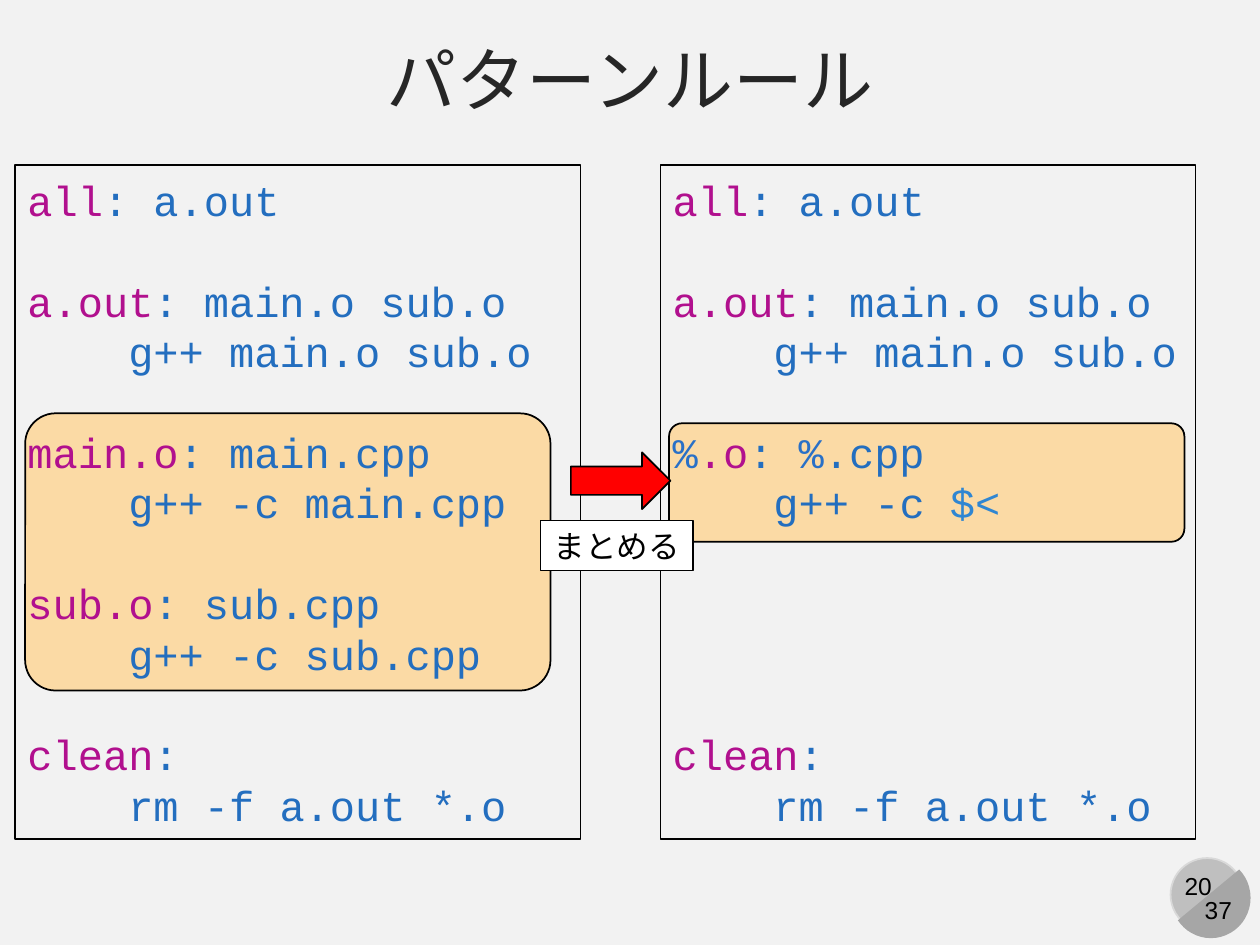
"""Build the slide that folds two make rules into one pattern rule."""
from pptx import Presentation
from pptx.dml import color
from pptx.enum import shapes, text
from pptx.util import Pt

TARGET, CODE, PERCENT, MACRO = "B1108E", "236EBF", "2970C7", "2F86D2"
BLACK, ORANGE = "000000", "FBDAA5"
LINE_HEIGHT = 28.8
SHAPE = shapes.MSO_SHAPE

TITLE = "パターンルール"
HEAD = [
    (0, [("all", TARGET), (": a.out", CODE)]),
    (1, [("a.out", TARGET), (": main.o sub.o", CODE)]),
    (0, [("    g++ main.o sub.o", CODE)]),
]
CLEAN = [("clean", TARGET), (":", CODE)]
REMOVE = (0, [("    rm -f a.out *.o", CODE)])
SEPARATE_RULES = HEAD + [
    (1, [("main.o", TARGET), (": main.cpp", CODE)]),
    (0, [("    g++ -c main.cpp", CODE)]),
    (1, [("sub.o", TARGET), (": sub.cpp", CODE)]),
    (0, [("    g++ -c sub.cpp", CODE)]),
    (1, CLEAN),
    REMOVE,
]
PATTERN_RULE = HEAD + [
    (1, [("%", PERCENT), (".o", TARGET), (": ", CODE), ("%", PERCENT), (".cpp", CODE)]),
    (0, [("    g++ -c ", CODE), ("$<", MACRO)]),
    (4, CLEAN),
    REMOVE,
]
HIGHLIGHTS = [(382.3, 241.9, 294.5, 67.7), (14.4, 236.2, 300.2, 158.4)]
PANELS = [(8.6, 323.3, SEPARATE_RULES), (377.3, 306, PATTERN_RULE)]
PAGE_NUMBERS = [("20", (668.9, 493.9, 31.7, 24.5)), ("37", (676.8, 507.6, 38.9, 24.5))]


def rgb(value):
    return color.RGBColor.from_string(value)


def add_shape(slide, kind, box, fill=None, line=None, width=1):
    shape = slide.shapes.add_shape(kind, *map(Pt, box))
    shape.shadow.inherit = False
    if fill:
        shape.fill.solid()
        shape.fill.fore_color.rgb = rgb(fill)
    else:
        shape.fill.background()
    if line:
        shape.line.color.rgb = rgb(line)
        shape.line.width = Pt(width)
    else:
        shape.line.fill.background()
    return shape


def format_run(run, size, hex_color, name="Arial"):
    run.font.size = Pt(size)
    run.font.name = name
    run.font.color.rgb = rgb(hex_color)


def write_label(shape, words, size, hex_color=BLACK, wrap=False):
    frame = shape.text_frame
    frame.text = words
    frame.word_wrap = wrap
    frame.vertical_anchor = text.MSO_ANCHOR.MIDDLE
    paragraph = frame.paragraphs[0]
    paragraph.alignment = text.PP_ALIGN.CENTER
    format_run(paragraph.runs[0], size, hex_color)


def write_code(shape, lines):
    frame = shape.text_frame
    frame.word_wrap = True
    frame.vertical_anchor = text.MSO_ANCHOR.MIDDLE
    for index, (gap, pieces) in enumerate(lines):
        paragraph = frame.add_paragraph() if index else frame.paragraphs[0]
        paragraph.alignment = text.PP_ALIGN.LEFT
        paragraph.line_spacing = Pt(LINE_HEIGHT)
        paragraph.space_before = Pt(gap * LINE_HEIGHT)
        for words, hex_color in pieces:
            run = paragraph.add_run()
            run.text = words
            format_run(run, 24, hex_color, "Courier New")


def main():
    presentation = Presentation()
    presentation.slide_width, presentation.slide_height = Pt(720), Pt(540)
    slide = presentation.slides.add_slide(presentation.slide_layouts[5])
    slide.background.fill.solid()
    slide.background.fill.fore_color.rgb = rgb("F2F2F2")

    title = slide.shapes.title
    title.left, title.top, title.width, title.height = map(Pt, (0, 15.1, 720, 59))
    write_label(title, TITLE, 40, "262626", wrap=True)

    add_shape(slide, SHAPE.OVAL, (668.9, 490.3, 41.8, 41.8), "BFBFBF", "D9D9D9")
    chord = add_shape(slide, SHAPE.CHORD, (668.9, 490.3, 46.1, 45.4), "A6A6A6")
    chord.rotation = 270
    chord.adjustments[0], chord.adjustments[1] = 27, 141.42
    for number, box in PAGE_NUMBERS:
        write_label(slide.shapes.add_textbox(*map(Pt, box)), number, 14)

    for box in HIGHLIGHTS:
        highlight = add_shape(slide, SHAPE.ROUNDED_RECTANGLE, box, ORANGE, BLACK)
        highlight.adjustments[0] = 0.11
    for left, width, lines in PANELS:
        panel = add_shape(slide, SHAPE.RECTANGLE, (left, 94.3, width, 385.2), None, BLACK, 0.75)
        write_code(panel, lines)

    add_shape(slide, SHAPE.RIGHT_ARROW, (326.2, 258.5, 56.9, 32.4), "FF0000", BLACK)
    caption = add_shape(slide, SHAPE.RECTANGLE, (308.9, 297.4, 87.1, 28.8), "FFFFFF", BLACK, 0.75)
    write_label(caption, "まとめる", 18)

    presentation.save("out.pptx")


if __name__ == "__main__":
    main()
